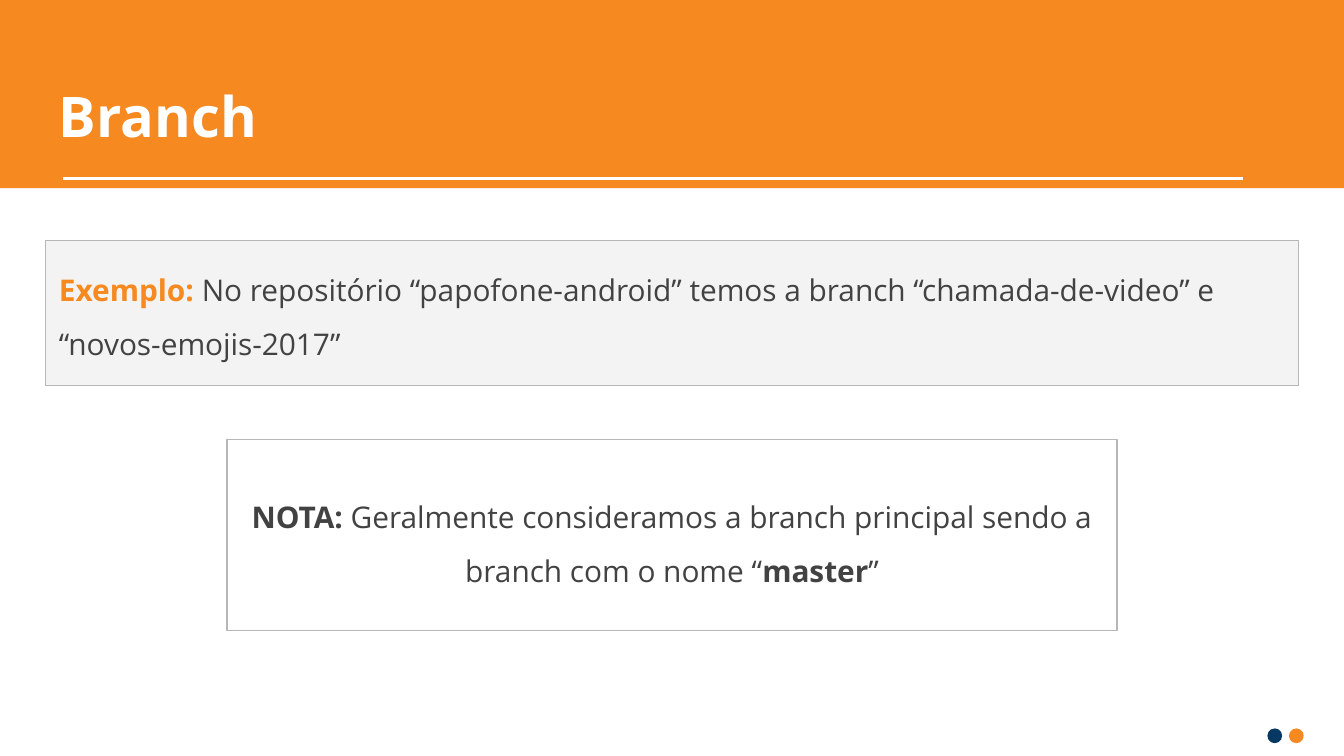
from dataclasses import dataclass

from lxml import etree
from pptx import Presentation
from pptx.dml.color import RGBColor
from pptx.enum.shapes import MSO_CONNECTOR, MSO_SHAPE
from pptx.enum.text import MSO_ANCHOR, PP_ALIGN
from pptx.oxml.ns import qn
from pptx.util import Inches, Pt

RECT, OVAL = MSO_SHAPE.RECTANGLE, MSO_SHAPE.OVAL
LINE = MSO_CONNECTOR.STRAIGHT
TOP, MIDDLE, BOTTOM = MSO_ANCHOR.TOP, MSO_ANCHOR.MIDDLE, MSO_ANCHOR.BOTTOM
LEFT, CENTER = PP_ALIGN.LEFT, PP_ALIGN.CENTER


@dataclass(frozen=True)
class Theme:
    font: str = "Open Sans"
    orange: str = "F68920"
    navy: str = "073763"
    white: str = "FFFFFF"
    pale: str = "F3F3F3"
    edge: str = "B7B7B7"
    ink: str = "424242"
    title: int = 30
    body: int = 16


THEME = Theme()


def rgb(code):
    return RGBColor.from_string(code)


def add_box(slide, kind, box, fill=None, edge=None):
    shape = slide.shapes.add_shape(kind, *map(Inches, box))
    shape.shadow.inherit = False
    if fill:
        shape.fill.solid()
        shape.fill.fore_color.rgb = rgb(fill)
    else:
        shape.fill.background()
    if edge:
        shape.line.color.rgb = rgb(edge)
        shape.line.width = Pt(0.75)
    else:
        shape.line.fill.background()
    return shape


def write(shape, runs, size, anchor, para):
    """Write one paragraph from (text, colour, bold) runs."""
    frame = shape.text_frame
    style = {"word_wrap": True, "vertical_anchor": anchor}
    style.update({f"margin_{side}": Inches(0.1)
                  for side in ("left", "top", "right", "bottom")})
    for name, value in style.items():
        setattr(frame, name, value)
    line = frame.paragraphs[0]
    for name, value in para.items():
        setattr(line, name, value)
    for text, color, bold in runs:
        run = line.add_run()
        run.text = text
        for name, value in {"name": THEME.font, "size": Pt(size), "bold": bold}.items():
            setattr(run.font, name, value)
        run.font.color.rgb = rgb(color)


def add_header(slide, box, title):
    left, top, width, height = box
    add_box(slide, RECT, box, THEME.orange)
    # Rule under the title
    y = Inches(top + height - 0.07)
    rule = slide.shapes.add_connector(
        LINE, Inches(left + 0.47), y, Inches(left + width - 0.75), y)
    rule.line.color.rgb = rgb(THEME.white)
    rule.line.width = Pt(1.5)
    etree.SubElement(rule._element.spPr, qn("a:effectLst"))
    # Title
    area = (left + 0.34, top + 0.42, width - 0.68, 0.8)
    label = slide.shapes.add_textbox(*map(Inches, area))
    write(label, [(title, THEME.white, True)], THEME.title, BOTTOM,
          {"alignment": LEFT})


def add_panel(slide, box, runs, fill, anchor, align):
    panel = add_box(slide, RECT, box, fill, THEME.edge)
    write(panel, runs, THEME.body, anchor,
          {"alignment": align, "line_spacing": 1.5, "space_after": Pt(16)})


def add_dots(slide, box):
    left, top, width, size = box
    for x, color in ((left, THEME.navy), (left + width - size, THEME.orange)):
        add_box(slide, OVAL, (x, top, size, size), color)


def main():
    deck = Presentation()
    # Widescreen, 16:9
    deck.slide_width = Inches(10)
    deck.slide_height = Inches(10 * 9 / 16)
    slide = deck.slides.add_slide(deck.slide_layouts[6])

    add_header(slide, (0, -0.01, 10, 1.41), "Branch")

    # Example
    example = [
        ("Exemplo: ", THEME.orange, True),
        ("No repositório “papofone-android” temos a branch "
         "“chamada-de-video” e “novos-emojis-2017”", THEME.ink, False),
    ]
    add_panel(slide, (0.34, 1.79, 9.32, 1.08), example, THEME.pale, TOP, LEFT)

    # Note
    note = [
        ("NOTA: ", THEME.ink, True),
        ("Geralmente consideramos a branch principal sendo a "
         "branch com o nome “", THEME.ink, False),
        ("master", THEME.ink, True),
        ("”", THEME.ink, False),
    ]
    add_panel(slide, (1.69, 3.27, 6.62, 1.42), note, None, MIDDLE, CENTER)

    # Corner dots
    add_dots(slide, (9.43, 5.42, 0.27, 0.11))

    deck.save("out.pptx")


if __name__ == "__main__":
    main()
